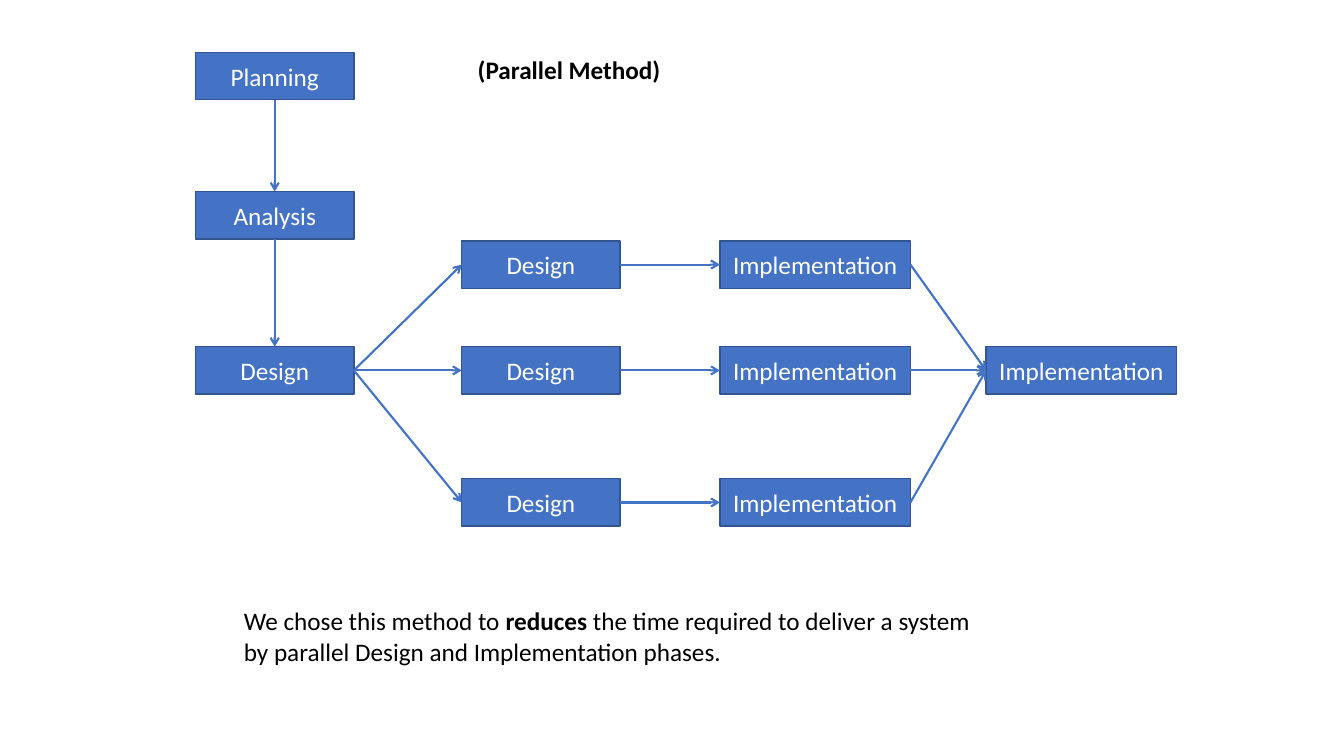
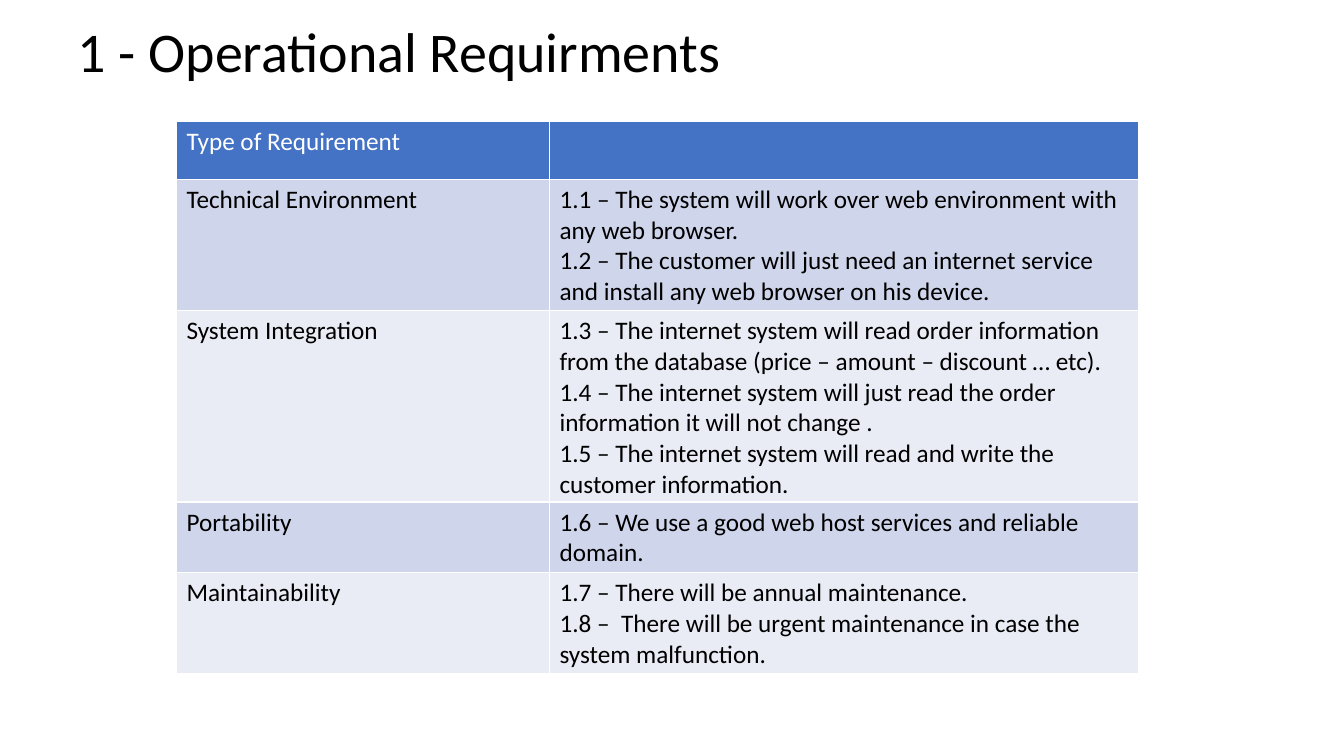
"""Build two slides: a parallel method flowchart and a requirements table."""
from lxml import etree
from pptx import Presentation
from pptx.dml.color import RGBColor
from pptx.enum.shapes import MSO_CONNECTOR, MSO_SHAPE
from pptx.enum.text import MSO_ANCHOR, MSO_AUTO_SIZE, PP_ALIGN
from pptx.oxml.ns import qn
from pptx.util import Inches, Pt

RECTANGLE = MSO_SHAPE.RECTANGLE
STRAIGHT = MSO_CONNECTOR.STRAIGHT
CENTER, LEFT = PP_ALIGN.CENTER, PP_ALIGN.LEFT
MIDDLE, BOTTOM, TOP = MSO_ANCHOR.MIDDLE, MSO_ANCHOR.BOTTOM, MSO_ANCHOR.TOP
FIT_SHAPE = MSO_AUTO_SIZE.SHAPE_TO_FIT_TEXT

COLORS = {"accent": "4472C4", "outline": "325491", "text": "000000",
          "light": "FFFFFF", "band_dark": "CFD5EA", "band_pale": "E9EBF5"}
BODY = {"name": "Calibri", "size": Pt(18), "bold": False}
STRONG = {**BODY, "bold": True}
TITLE = {**BODY, "size": Pt(40)}
LABEL = {"word_wrap": False, "auto_size": FIT_SHAPE, "vertical_anchor": TOP}
HEADING = {"word_wrap": True, "vertical_anchor": BOTTOM}

COLUMNS = {"start": 1.94, "design": 4.58, "build": 7.14, "finish": 9.78}
ROWS = {"planning": 0.52, "analysis": 1.9,
        "upper": 2.39, "middle": 3.44, "lower": 4.75}
NARROW, WIDE, STEP_HEIGHT = 1.57, 1.89, 0.47
SITE_TOP, SITE_LEFT, SITE_BOTTOM, SITE_RIGHT = range(4)

REQUIREMENTS = [
    ("Type of Requirement", []),
    ("Technical Environment", [
        "1.1 – The system will work over web environment with any web browser.",
        "1.2 – The customer will just need an internet service and install "
        "any web browser on his device."]),
    ("System Integration", [
        "1.3 – The internet system will read order information from the "
        "database (price – amount – discount … etc).",
        "1.4 – The internet system will just read the order information "
        "it will not change .",
        "1.5 – The internet system will read and write the customer "
        "information."]),
    ("Portability", [
        "1.6 – We use a good web host services and reliable domain."]),
    ("Maintainability", [
        "1.7 – There will be annual maintenance.",
        "1.8 –  There will be urgent maintenance in case the system "
        "malfunction."]),
]


def rgb(name):
    """Return the named palette colour."""
    return RGBColor.from_string(COLORS[name])


def apply_format(target, values):
    """Set each format value on the target."""
    for attribute, value in values.items():
        setattr(target, attribute, value)


def write(frame, lines, color="text", align=LEFT, spacing=None):
    """Fill a text frame with lines made of (text, font format) pieces."""
    for index, pieces in enumerate(lines):
        paragraph = frame.add_paragraph() if index else frame.paragraphs[0]
        apply_format(paragraph, {"alignment": align, "line_spacing": spacing})
        for text, font_format in pieces:
            run = paragraph.add_run()
            run.text = text
            apply_format(run.font, font_format)
            run.font.color.rgb = rgb(color)


def add_text(slide, area, lines, frame_format, **style):
    """Add a text box in the given area."""
    frame = slide.shapes.add_textbox(*map(Inches, area)).text_frame
    apply_format(frame, frame_format)
    write(frame, lines, **style)


def add_step(slide, text, column, row, width=NARROW):
    """Add a process step at a grid position."""
    area = COLUMNS[column], ROWS[row], width, STEP_HEIGHT
    step = slide.shapes.add_shape(RECTANGLE, *map(Inches, area))
    step.shadow.inherit = False
    step.fill.solid()
    step.fill.fore_color.rgb = rgb("accent")
    step.line.color.rgb = rgb("outline")
    step.line.width = Pt(1)
    step.text_frame.vertical_anchor = MIDDLE
    write(step.text_frame, [[(text, BODY)]], "light", CENTER)
    return step


def add_arrow(slide, source, target, sites=(SITE_RIGHT, SITE_LEFT)):
    """Join two steps with an arrow."""
    arrow = slide.shapes.add_connector(STRAIGHT, 0, 0, 0, 0)
    arrow.begin_connect(source, sites[0])
    arrow.end_connect(target, sites[1])
    arrow.line.color.rgb = rgb("accent")
    arrow.line.width = Pt(1.5)
    properties = arrow._element.spPr
    etree.SubElement(properties.find(qn("a:ln")), qn("a:tailEnd"), type="arrow")
    etree.SubElement(properties, qn("a:effectLst"))


def add_requirements(slide):
    """Add the banded requirements table."""
    area = 1.75, 1.2, 9.54, 2.9
    table = slide.shapes.add_table(
        len(REQUIREMENTS), 2, *map(Inches, area)).table
    for column, width in zip(table.columns, (3.7, 5.84)):
        column.width = Inches(width)
    for index, (kind, details) in enumerate(REQUIREMENTS):
        band = "band_dark" if index % 2 else "band_pale"
        fill, color = (band, "text") if index else ("accent", "light")
        for cell, lines in zip(table.rows[index].cells, ([kind], details)):
            cell.fill.solid()
            cell.fill.fore_color.rgb = rgb(fill)
            write(cell.text_frame, [[(line, BODY)] for line in lines], color)


def build_method(slide):
    """Draw the parallel method flowchart."""
    planning = add_step(slide, "Planning", "start", "planning")
    analysis = add_step(slide, "Analysis", "start", "analysis")
    design = add_step(slide, "Design", "start", "middle")
    finish = add_step(slide, "Implementation", "finish", "middle", WIDE)
    for source, target in ((planning, analysis), (analysis, design)):
        add_arrow(slide, source, target, (SITE_BOTTOM, SITE_TOP))
    for row in ("upper", "middle", "lower"):
        branch = add_step(slide, "Design", "design", row)
        build = add_step(slide, "Implementation", "build", row, WIDE)
        stages = (design, branch, build, finish)
        for source, target in zip(stages, stages[1:]):
            add_arrow(slide, source, target)
    add_text(slide, (2.32, 5.96, 7.54, 0.71), [
        [("We chose this method to ", BODY), ("reduces", STRONG),
         (" the time required to deliver a system", BODY)],
        [("by parallel Design and Implementation phases.", BODY)]], LABEL)
    add_text(slide, (4.64, 0.49, 2.03, 0.4),
             [[("(Parallel Method)", STRONG)]], LABEL)


def build_requirements(slide):
    """Lay out the operational requirements."""
    add_text(slide, (0.46, 0.09, 7, 0.8),
             [[("1 - Operational Requirments", TITLE)]], HEADING,
             align=CENTER, spacing=0.9)
    add_requirements(slide)


def main():
    """Build and save the presentation."""
    deck = Presentation()
    apply_format(deck, {"slide_width": Inches(13.33),
                        "slide_height": Inches(7.5)})
    blank = deck.slide_layouts[6]
    for build in (build_method, build_requirements):
        build(deck.slides.add_slide(blank))
    deck.save("out.pptx")


if __name__ == "__main__":
    main()
